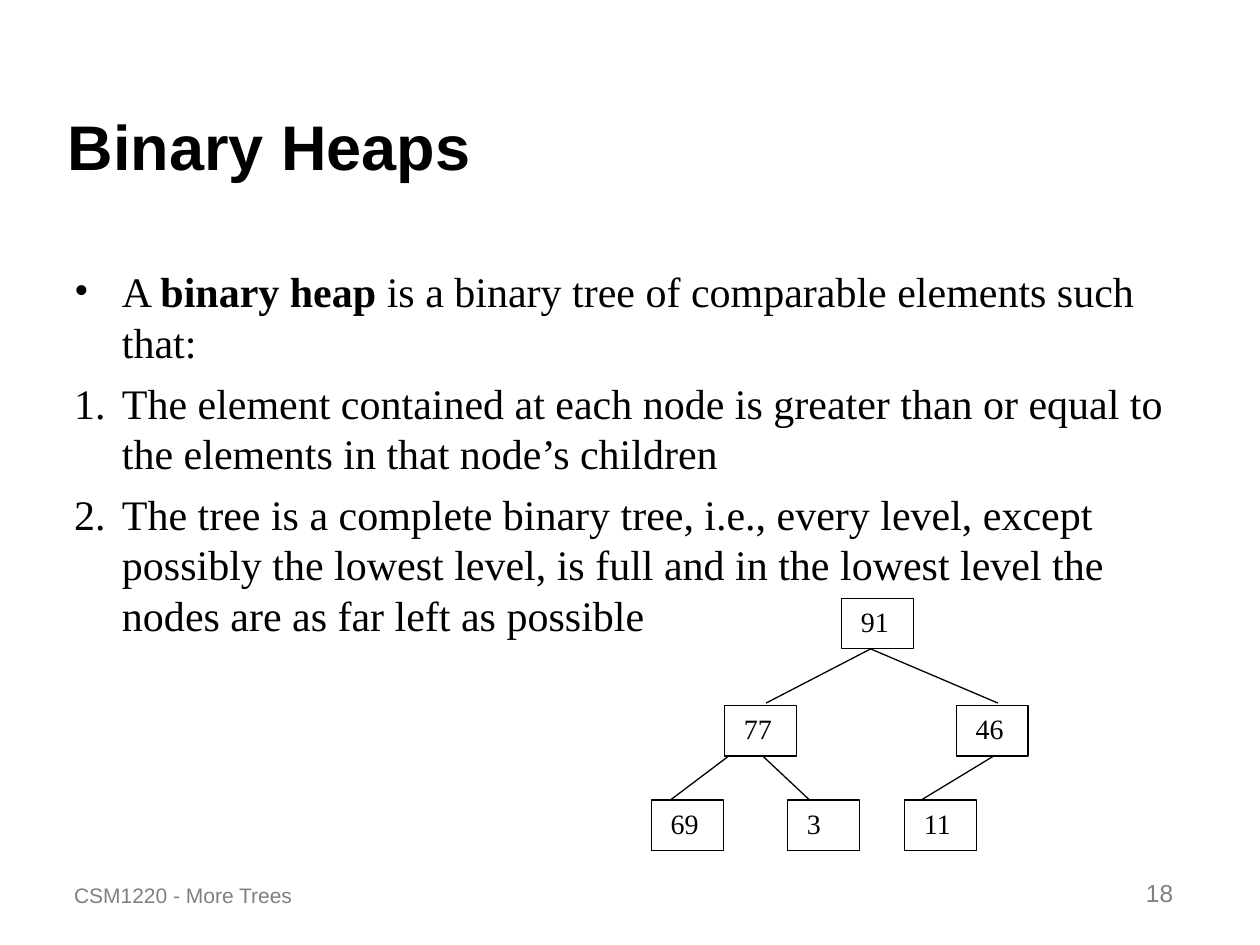
from pptx import Presentation
from pptx.dml.color import RGBColor
from pptx.enum.shapes import MSO_CONNECTOR, MSO_SHAPE
from pptx.enum.text import MSO_ANCHOR, PP_ALIGN
from pptx.oxml.ns import qn
from pptx.util import Emu, Pt
from lxml import etree

RECTANGLE = MSO_SHAPE.RECTANGLE
STRAIGHT = MSO_CONNECTOR.STRAIGHT
TOP, BOTTOM = MSO_ANCHOR.TOP, MSO_ANCHOR.BOTTOM
LEFT, RIGHT = PP_ALIGN.LEFT, PP_ALIGN.RIGHT

PX = 9144  # 100 px to the inch
COLORS = {"ink": "000000", "paper": "FFFFFF", "footer": "808080"}
HEADING_FONT, BODY_FONT = "Arial", "Times New Roman"


def style_runs(paragraph, font, size, color):
    for run in paragraph.runs:
        run.font.name = font
        run.font.size = Pt(size)
        run.font.color.rgb = RGBColor.from_string(COLORS[color])


def add_text_area(left, top, width, height, anchor):
    area = slide.shapes.add_textbox(*(Emu(v * PX) for v in (left, top, width, height)))
    area.text_frame.word_wrap = True
    area.text_frame.vertical_anchor = anchor
    return area.text_frame


prs = Presentation()
prs.slide_width, prs.slide_height = Emu(1000 * PX), Emu(750 * PX)
slide = prs.slides.add_slide(prs.slide_layouts[6])

# Title
title = add_text_area(44, 25, 906, 125, BOTTOM)
title.text = "Binary Heaps"
style_runs(title.paragraphs[0], HEADING_FONT, 36, "ink")
title.paragraphs[0].runs[0].font.bold = True

# Definition and its two numbered conditions
definition = add_text_area(49, 206, 894, 456, TOP)
statements = [
    ["A ", "binary heap", " is a binary tree of comparable elements such that:"],
    ["1.\tThe element contained at each node is greater than or equal to "
     "the elements in that node’s children"],
    ["2.\tThe tree is a complete binary tree, i.e., every level, except possibly "
     "the lowest level, is full and in the lowest level the nodes are as far left "
     "as possible"],
]
for index, parts in enumerate(statements):
    statement = definition.paragraphs[0] if index == 0 else definition.add_paragraph()
    for part in parts:
        run = statement.add_run()
        run.text = part
        run.font.bold = part == "binary heap"
    style_runs(statement, BODY_FONT, 24, "ink")
    statement.space_before = Pt(6)
    properties = statement._p.get_or_add_pPr()
    properties.set("marL", str(38 * PX))
    properties.set("indent", str(-38 * PX))
    if index == 0:
        etree.SubElement(properties, qn("a:buFont"), typeface=BODY_FONT)
        etree.SubElement(properties, qn("a:buChar"), char="•")
    else:
        etree.SubElement(properties, qn("a:buNone"))

# Heap edges, behind the nodes
edges = [
    (691, 515, 792, 558), (691, 515, 608, 558),
    (797, 595, 731, 635), (600, 595, 650, 642), (585, 595, 532, 635),
]
for ends in edges:
    edge = slide.shapes.add_connector(STRAIGHT, *(Emu(v * PX) for v in ends))
    edge.line.color.rgb = RGBColor.from_string(COLORS["ink"])
    edge.line.width = Pt(0.75)
    etree.SubElement(edge._element.spPr, qn("a:effectLst"))

# Heap nodes, level by level
NODE_WIDTH, NODE_HEIGHT = 57, 40
levels = [
    (475, [(668, 91)]),
    (560, [(575, 77), (759, 46)]),
    (635, [(517, 69), (625, 3), (718, 11)]),
]
for top, nodes in levels:
    for left, value in nodes:
        node = slide.shapes.add_shape(
            RECTANGLE, *(Emu(v * PX) for v in (left, top, NODE_WIDTH, NODE_HEIGHT)))
        node.shadow.inherit = False
        node.fill.solid()
        node.fill.fore_color.rgb = RGBColor.from_string(COLORS["paper"])
        node.line.color.rgb = RGBColor.from_string(COLORS["ink"])
        node.line.width = Pt(0.75)
        node.text_frame.vertical_anchor = TOP
        node.text_frame.text = f" {value}"
        label = node.text_frame.paragraphs[0]
        label.alignment = LEFT
        style_runs(label, BODY_FONT, 16, "ink")

# Footer
footers = [
    (49, 300, "CSM1220 - More Trees", 12, LEFT),
    (733, 208, "18", 14, RIGHT),
]
for left, width, wording, size, alignment in footers:
    footer = add_text_area(left, 675, width, 50, BOTTOM)
    footer.text = wording
    footer.paragraphs[0].alignment = alignment
    style_runs(footer.paragraphs[0], HEADING_FONT, size, "footer")

prs.save("out.pptx")
